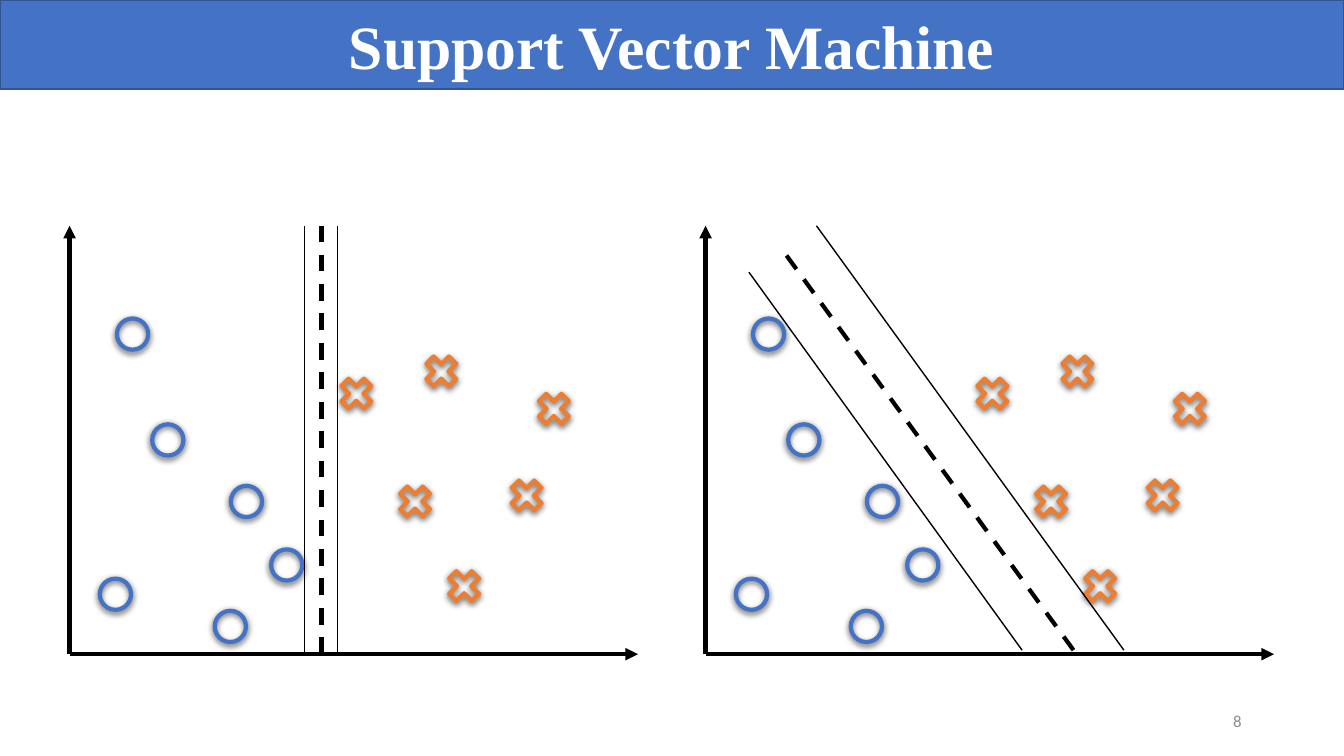
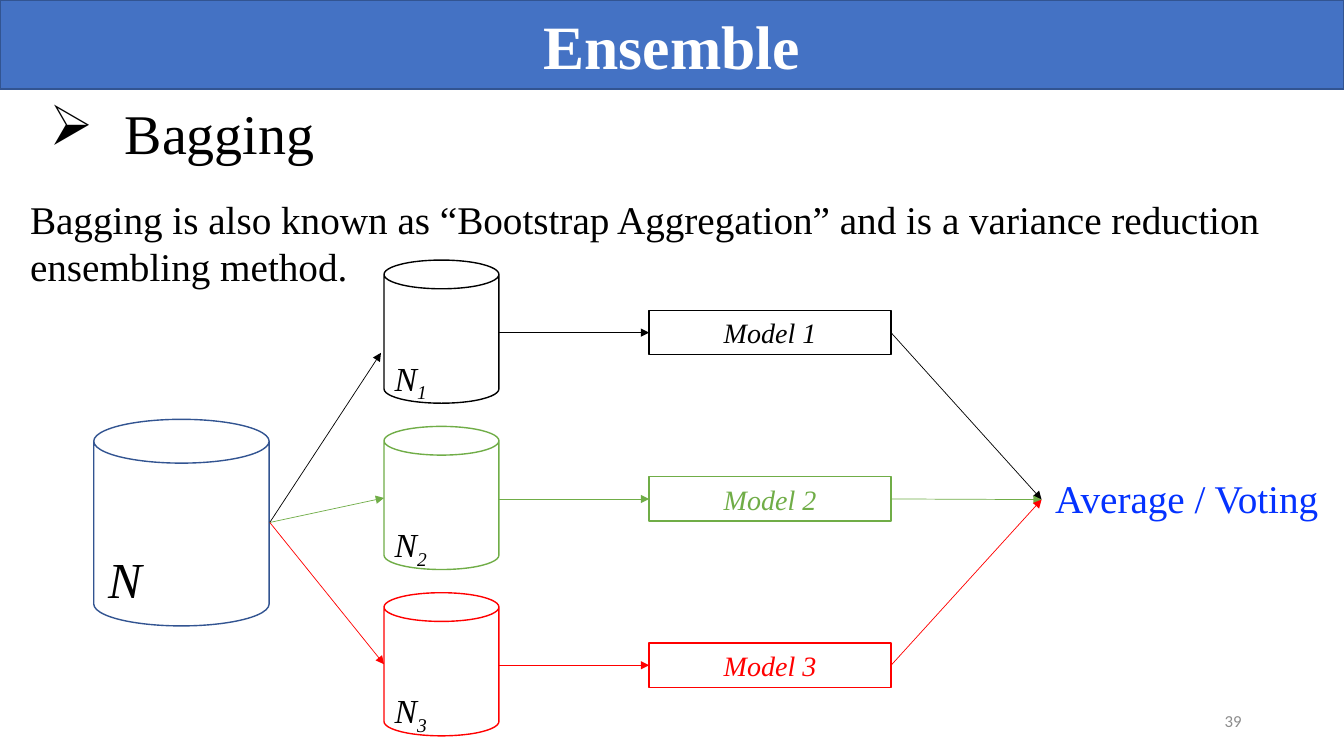
import lxml.etree
import pptx
import pptx.dml.color
import pptx.enum.dml
import pptx.enum.shapes
import pptx.enum.text
import pptx.oxml.ns
import pptx.util

BLUE, DARK_BLUE, ORANGE = "4472C4", "325491", "ED7D31"
BLACK, WHITE, GREEN, RED = "000000", "FFFFFF", "70AD47", "FF0000"
GREY, BRIGHT_BLUE = "8C8C8C", "0432FF"
SERIF, SANS = "Times New Roman", "Calibri"

color = pptx.dml.color.RGBColor.from_string
qn = pptx.oxml.ns.qn
SHAPE = pptx.enum.shapes.MSO_SHAPE
ALIGN = pptx.enum.text.PP_ALIGN
MIDDLE = pptx.enum.text.MSO_ANCHOR.MIDDLE
TOP = pptx.enum.text.MSO_ANCHOR.TOP

presentation = pptx.Presentation()
presentation.slide_width = pptx.util.Inches(13.333)
presentation.slide_height = pptx.util.Inches(7.5)

# Grid of 40 columns by 22.5 rows; all lengths below are in grid cells
COLUMNS, ROWS = 40, 22.5
column = presentation.slide_width / COLUMNS
row = presentation.slide_height / ROWS


def add_box(shapes, kind, left, top, width, height, fill=None, line=None, weight=1,
            text="", subscript="", size=28, font=SERIF, ink=BLACK, bold=False,
            italic=False, align=ALIGN.LEFT, anchor=TOP, wrap=True):
    """Add a preset shape, or a text box when kind is None."""
    place = [int(left * column), int(top * row), int(width * column), int(height * row)]
    if kind is None:
        shape = shapes.add_textbox(*place)
    else:
        shape = shapes.add_shape(kind, *place)
        shape.shadow.inherit = False
        if fill:
            shape.fill.solid()
            shape.fill.fore_color.rgb = color(fill)
        else:
            shape.fill.background()
        shape.line.color.rgb = color(line)
        shape.line.width = pptx.util.Pt(weight)
    if text:
        frame = shape.text_frame
        frame.word_wrap = wrap
        frame.vertical_anchor = anchor
        frame.text = text
        paragraph = frame.paragraphs[0]
        paragraph.alignment = align
        if subscript:
            run = paragraph.add_run()
            run.text = subscript
            run.font._element.set("baseline", "-25000")
        for run in paragraph.runs:
            run.font.name = font
            run.font.size = pptx.util.Pt(size)
            run.font.bold = bold
            run.font.italic = italic
            run.font.color.rgb = color(ink)
    return shape


def add_line(shapes, start, end, ink=BLACK, weight=1.0, dashed=False, arrow=False):
    """Add a straight connector between two grid points."""
    connector = shapes.add_connector(
        pptx.enum.shapes.MSO_CONNECTOR.STRAIGHT,
        int(start[0] * column), int(start[1] * row), int(end[0] * column), int(end[1] * row))
    connector.line.color.rgb = color(ink)
    connector.line.width = pptx.util.Pt(weight)
    if dashed:
        connector.line.dash_style = pptx.enum.dml.MSO_LINE.DASH
    properties = connector._element.spPr
    if arrow:
        lxml.etree.SubElement(properties.find(qn("a:ln")), qn("a:tailEnd"), type="triangle")
    lxml.etree.SubElement(properties, qn("a:effectLst"))
    return connector


# Shared title band and page number
slides = []
for title, number in [("Support Vector Machine", "8"), ("Ensemble", "39")]:
    slide = presentation.slides.add_slide(presentation.slide_layouts[6])
    add_box(slide.shapes, SHAPE.RECTANGLE, 0, 0, COLUMNS, 2.65, BLUE, DARK_BLUE,
            text=title, size=44, ink=WHITE, bold=True, align=ALIGN.CENTER, anchor=MIDDLE)
    add_box(slide.shapes, None, 28.25, 20.85, 9, 1.2, text=number, size=12, font=SANS,
            ink=GREY, align=ALIGN.RIGHT, anchor=MIDDLE)
    slides.append(slide)
svm_slide, ensemble_slide = slides

# Support vector machine: the same scatter plot in two panels
AXIS_TOP, AXIS_BOTTOM, AXIS_LENGTH = 6.72, 19.47, 16.92
circles = [(1.41, 9.48), (0.9, 17.22), (4.8, 14.46), (2.46, 12.63), (4.32, 18.18), (6, 16.35)]
crosses = [(10.42, 10.41), (9.64, 14.28), (12.96, 14.1), (7.89, 11.07), (11.1, 16.8),
           (13.77, 11.52)]
markers = [(SHAPE.OVAL, 0.93, BLUE, circles), (SHAPE.MATH_MULTIPLY, 1.29, ORANGE, crosses)]

for origin in (2.07, 21):
    panel = svm_slide.shapes.add_group_shape().shapes
    for end in [(origin + AXIS_LENGTH, AXIS_BOTTOM), (origin, AXIS_TOP)]:
        add_line(panel, (origin, AXIS_BOTTOM), end, weight=3, arrow=True)
    for kind, side, ink, points in markers:
        for x, y in points:
            marker = add_box(panel, kind, origin + x, y, side, side, line=ink, weight=3)
            effects = marker._element.spPr.find(qn("a:effectLst"))
            shadow = lxml.etree.SubElement(
                effects, qn("a:outerShdw"), blurRad=str(pptx.util.Pt(4.5)),
                dist=str(pptx.util.Pt(1.5)), dir="5400000", algn="ctr", rotWithShape="0")
            shade = lxml.etree.SubElement(shadow, qn("a:srgbClr"), val=BLACK)
            lxml.etree.SubElement(shade, qn("a:alpha"), val="63000")

# Separating lines (dashed) and their margins
for x, dashed in [(9.06, False), (9.57, True), (10.05, False)]:
    add_line(svm_slide.shapes, (x, AXIS_BOTTOM), (x, AXIS_TOP), weight=3 if dashed else 1,
             dashed=dashed)
for bottom_x, top_point, dashed in [(30.42, (22.29, 8.1), False), (31.95, (23.31, 7.47), True),
                                    (33.45, (24.3, 6.72), False)]:
    add_line(svm_slide.shapes, (bottom_x, 19.35), top_point, weight=3 if dashed else 1,
             dashed=dashed)

# Ensemble: heading and description
heading = add_box(ensemble_slide.shapes, None, 1.17, 2.79, 13.65, 2.31, text="Bagging", size=40)
paragraph_properties = heading.text_frame.paragraphs[0]._p.get_or_add_pPr()
indent = pptx.util.Inches(0.75)
paragraph_properties.set("marL", str(indent))
paragraph_properties.set("indent", str(-indent))
lxml.etree.SubElement(paragraph_properties, qn("a:buChar"), char="➢")
add_box(ensemble_slide.shapes, None, 0.6, 5.67, 38.07, 3.12,
        text="Bagging is also known as “Bootstrap Aggregation” and is a variance reduction "
             "ensembling method.")

# Full data set
data_set = ensemble_slide.shapes.add_group_shape().shapes
add_box(data_set, SHAPE.CAN, 2.79, 12.48, 5.22, 6.15, line=DARK_BLUE)
add_box(data_set, None, 2.37, 16.17, 2.7, 2.61, text="N", size=36, italic=True,
        align=ALIGN.CENTER)

# One branch per sample: cylinder, model and arrows
SAMPLE_LEFT, SAMPLE_WIDTH, FIRST_TOP, PITCH = 11.43, 3.42, 7.74, 4.95
branches = [(BLACK, 11.34, 2.76), (GREEN, SAMPLE_LEFT, 2.13), (RED, SAMPLE_LEFT, 2.13)]
for index, (ink, arrow_x, arrow_drop) in enumerate(branches):
    top = FIRST_TOP + index * PITCH
    center = top + 2.16
    number = str(index + 1)
    sample = ensemble_slide.shapes.add_group_shape().shapes
    add_box(sample, SHAPE.CAN, SAMPLE_LEFT, top, SAMPLE_WIDTH, 4.26, WHITE, ink)
    add_box(sample, None, 11.34, top + 2.76, 1.77, 1.5, text="N", subscript=number, size=24,
            italic=True, align=ALIGN.CENTER)
    model = add_box(ensemble_slide.shapes, SHAPE.RECTANGLE, 19.32, center - 0.66, 7.2, 1.32,
                    WHITE, ink, text="Model " + number, size=20, ink=ink, italic=True,
                    align=ALIGN.CENTER, anchor=MIDDLE)
    add_line(ensemble_slide.shapes, (8.03, 15.55), (arrow_x, top + arrow_drop), ink, 0.5,
             arrow=True)
    to_model = add_line(ensemble_slide.shapes, (SAMPLE_LEFT + SAMPLE_WIDTH, center),
                        (19.32, center), ink, 0.5, arrow=True)
    to_model.end_connect(model, 1)
    to_vote = add_line(ensemble_slide.shapes, (26.52, center), (31, 14.87), ink, 0.5, arrow=True)
    to_vote.begin_connect(model, 3)

# Combined result
add_box(ensemble_slide.shapes, None, 31.11, 13.98, 8.52, 1.71, text="Average / Voting",
        ink=BRIGHT_BLUE, wrap=False)

presentation.save("out.pptx")
